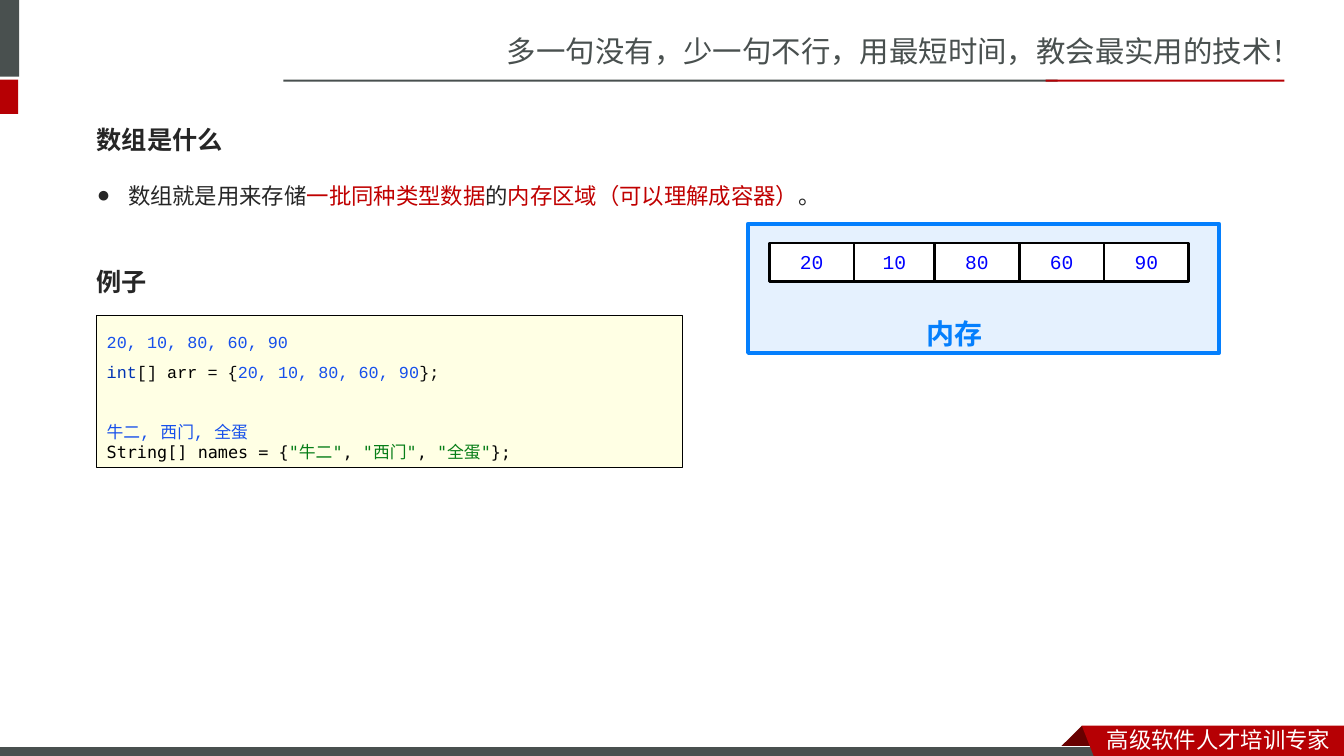
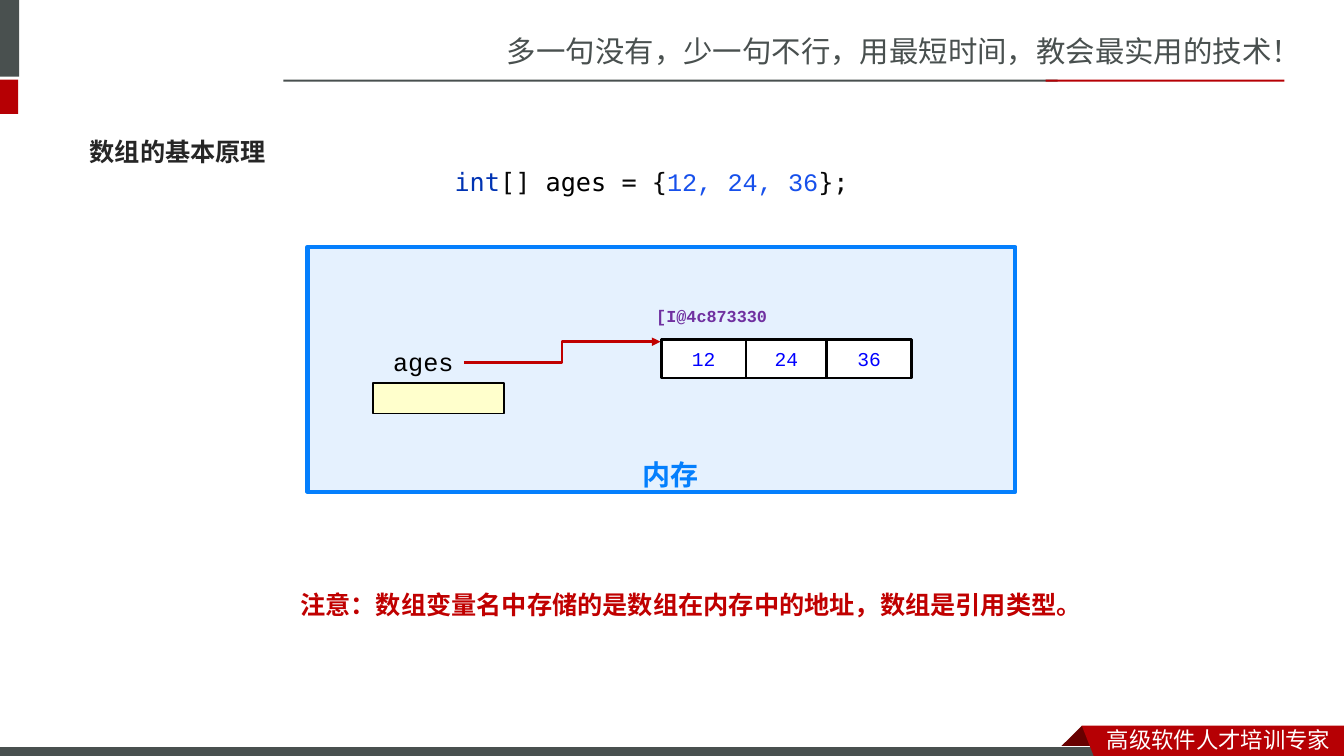
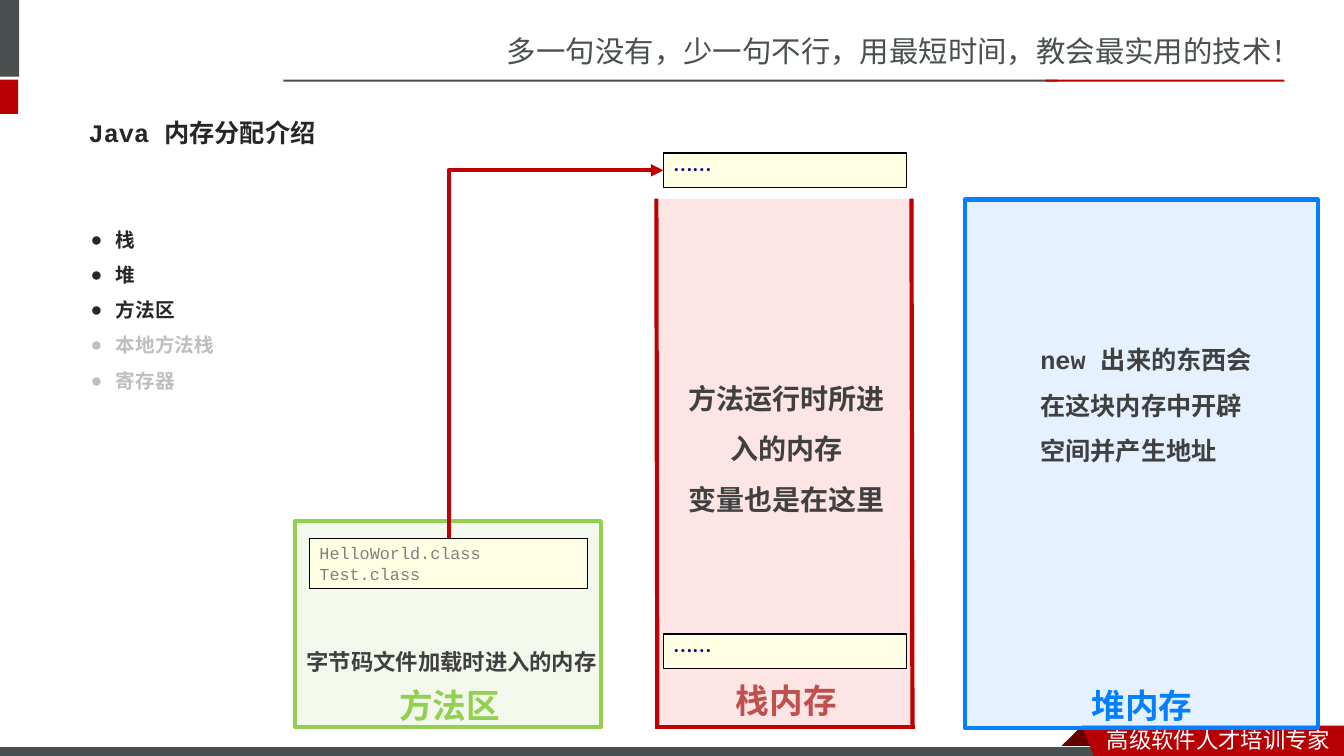
from lxml.etree import SubElement
from pptx import Presentation
from pptx.dml.color import RGBColor
from pptx.enum.shapes import MSO_CONNECTOR as LINK, MSO_SHAPE
from pptx.enum.text import MSO_ANCHOR as ANCHOR, MSO_AUTO_SIZE as FIT, PP_ALIGN as ALIGN
from pptx.oxml.ns import qn
from pptx.util import Inches, Pt

SLATE = RGBColor(0x49, 0x50, 0x4F)
CRIMSON = RGBColor(0xB6, 0x00, 0x04)
MAROON = RGBColor(0x68, 0x00, 0x00)
WHITE = RGBColor(0xFF, 0xFF, 0xFF)
BLACK = RGBColor(0x00, 0x00, 0x00)
INK = RGBColor(0x26, 0x26, 0x26)
CHAR = RGBColor(0x40, 0x40, 0x40)
RED = RGBColor(0xC0, 0x00, 0x00)
SKY = RGBColor(0x04, 0x7F, 0xFD)
LIME = RGBColor(0x92, 0xD0, 0x50)
PINK = RGBColor(0xFD, 0x00, 0x00)
BRICK = RGBColor(0xC0, 0x50, 0x4D)
CREAM = RGBColor(0xFF, 0xFF, 0xE4)
LEMON = RGBColor(0xFF, 0xFF, 0xCC)
BLUE = RGBColor(0x00, 0x00, 0xFF)
NAVY = RGBColor(0x00, 0x00, 0x80)
PURPLE = RGBColor(0x70, 0x30, 0xA0)
GREY = RGBColor(0x80, 0x80, 0x80)
PALE = RGBColor(0xBF, 0xBF, 0xBF)
NUM = RGBColor(0x17, 0x50, 0xEB)
KEY = RGBColor(0x00, 0x33, 0xB3)
CODE = RGBColor(0x08, 0x08, 0x08)
QUOTE = RGBColor(0x06, 0x7D, 0x17)

MONO, DEJA = "Courier New", "DejaVu Sans Mono"
SANS, SANSJ = "Noto Sans CJK SC", "Noto Sans CJK JP"

SLOGAN = "多一句没有，少一句不行，用最短时间，教会最实用的技术！"
BRAND = "高级软件人才培训专家"
BANDS = [  # place, fill
    ((-0.06, 0, 0.25, 0.76), SLATE),
    ((-0.06, 0.79, 0.24, 0.34), CRIMSON),
    ((2.81, 0.79, 7.68, 0.02), SLATE),
    ((10.37, 0.79, 2.37, 0.02), CRIMSON),
]
FOLD = [(10.73, 7.2), (10.95, 7.42), (10.94, 7.43), (10.52, 7.43), (10.51, 7.42)]
RIBBON = [(10.73, 7.2), (13.33, 7.2), (13.33, 7.54), (10.86, 7.53)]

# A paragraph is a string or a list of runs: (text, colour, font)
MEANING = [[("数组就是用来存储", INK), ("一批同种类型数据", RED), ("的", INK),
            ("内存区域（可以理解成容器）", RED), ("。", INK)]]
NAMES = [("String", BLACK, DEJA), ("[] ", CODE, DEJA), ("names ", BLACK, DEJA),
         ("= {", CODE, DEJA)]
for i, name in enumerate(("牛二", "西门", "全蛋")):
    NAMES += [(", ", CODE, DEJA)] if i else []
    NAMES += [('"', QUOTE, DEJA), (name, QUOTE, SANS), ('"', QUOTE, DEJA)]
NAMES.append(("};", CODE, DEJA))
SAMPLE = [
    [("20, 10, 80, 60, 90", NUM)],
    [("int", KEY), ("[] ", CODE), ("arr ", BLACK), ("= {", CODE),
     ("20, 10, 80, 60, 90", NUM), ("};", CODE)],
    [("牛二, 西门, 全蛋", NUM)],
    NAMES,
]
AGES = [[("int", KEY), ("[] ", CODE), ("ages ", BLACK), ("= {", CODE),
         ("12, 24, 36", NUM, MONO), ("};", CODE)]]
AREAS = ["栈", "堆", "方法区", [("本地方法栈", PALE)], [("寄存器", PALE)]]


def write(shape, paras, size=18, font=MONO, color=INK, bold=False, align=ALIGN.LEFT,
          space=1.0, anchor=ANCHOR.TOP, indent=None):
    frame = shape.text_frame
    frame.word_wrap, frame.auto_size = True, FIT.NONE
    frame.vertical_anchor = anchor
    for n, para in enumerate([paras] if isinstance(paras, str) else paras):
        p = frame.add_paragraph() if n else frame.paragraphs[0]
        p.alignment, p.line_spacing, p.space_before = align, space, Pt(0)
        if indent:
            ppr = p._p.get_or_add_pPr()
            ppr.set("marL", str(Inches(indent)))
            ppr.set("indent", str(-Inches(indent)))
            SubElement(ppr, qn("a:buChar"), char="●")
        for text, *style in [(para,)] if isinstance(para, str) else para:
            tint, face = (style + [color, font][len(style):])[:2]
            run = p.add_run()
            run.text = text
            run.font.size, run.font.bold, run.font.name = Pt(size), bold, face
            run.font.color.rgb = tint
            SubElement(run._r.get_or_add_rPr(), qn("a:ea"), typeface=face)
    return shape


def place(shape, at):
    shape.left, shape.top, shape.width, shape.height = map(Inches, at)
    return shape


def label(slide, at, paras, **fmt):
    return write(slide.shapes.add_textbox(*map(Inches, at)), paras, **fmt)


def paint(shape, fill, edge=None, width=1, alpha=None):
    shape.shadow.inherit = False
    shape.fill.solid()
    shape.fill.fore_color.rgb = fill
    if alpha:
        tone = shape._element.spPr.find(qn("a:solidFill"))[0]
        SubElement(tone, qn("a:alpha"), val=str(alpha * 1000))
    if edge is None:
        shape.line.fill.background()
    else:
        shape.line.color.rgb, shape.line.width = edge, Pt(width)
    return shape


def box(slide, at, fill, edge=None, width=1, alpha=None):
    rect = slide.shapes.add_shape(MSO_SHAPE.RECTANGLE, *map(Inches, at))
    return paint(rect, fill, edge, width, alpha)


def outline(slide, points, fill):
    pts = [(Inches(x), Inches(y)) for x, y in points]
    form = slide.shapes.build_freeform(*pts[0])
    form.add_line_segments(pts[1:])
    return paint(form.convert_to_shape(), fill)


def link(slide, start, end, kind=LINK.STRAIGHT, width=3, arrow=False):
    line = slide.shapes.add_connector(kind, *map(Inches, (*start, *end)))
    line.line.color.rgb, line.line.width = RED, Pt(width)
    props = line._element.spPr
    if arrow:
        SubElement(props.find(qn("a:ln")), qn("a:tailEnd"), type="triangle")
    SubElement(props, qn("a:effectLst"))
    return line


def zone(slide, at, color, name, spot, size=24, font=SANS):
    """Tinted memory area with its name."""
    box(slide, at, color, color, 3, alpha=10)
    label(slide, spot, name, size=size, font=font, color=color, bold=True,
          align=ALIGN.CENTER, space=1.5)


def cells(slide, left, top, values):
    """Row of array elements; the second is slightly narrower."""
    for n, value in enumerate(values):
        wide = 0.8 if n == 1 else 0.84
        cell = box(slide, (left, top, wide, 0.38), WHITE, BLACK, 2)
        write(cell, str(value), size=14, color=BLUE, align=ALIGN.CENTER, anchor=ANCHOR.MIDDLE)
        left += wide


def page(deck, layout, title, at):
    slide = deck.slides.add_slide(deck.slide_layouts[layout])
    write(place(slide.shapes.title, at), title, bold=True, anchor=ANCHOR.MIDDLE)
    return slide


def brand(deck, slide):
    """Draw the shared bands and footer, then move them to the master."""
    label(slide, (4.93, 0.28, 8.41, 0.47), SLOGAN, size=21, font=SANS, color=SLATE)
    for at, fill in BANDS:
        box(slide, at, fill)
    outline(slide, FOLD, MAROON)
    box(slide, (-0.01, 7.41, 11, 0.12), SLATE, WHITE, 0.75)
    outline(slide, RIBBON, CRIMSON)
    label(slide, (10.88, 7.15, 2.45, 0.37), BRAND, size=16, font=SANS, color=WHITE)
    tree = deck.slide_master.shapes._spTree
    parts = [s._element for s in slide.shapes if not s.is_placeholder]
    for n, part in enumerate(parts):
        part.nvSpPr.cNvPr.set("id", str(50 + n))
        tree.insert(2 + n, part)


def basics(deck):
    slide = page(deck, 1, "数组是什么", (0.86, 1.1, 1.74, 0.57))
    brand(deck, slide)
    write(place(slide.placeholders[1], (0.86, 1.62, 9.33, 0.47)), MEANING,
          size=16, font=SANSJ, space=1.5, indent=0.31)
    code = box(slide, (0.96, 3.13, 5.81, 1.51), CREAM, BLACK, 0.75)
    write(code, SAMPLE, size=12, space=1.5, anchor=ANCHOR.MIDDLE)
    lines = code.text_frame.paragraphs
    lines[2].space_before = Pt(21)
    lines[3].line_spacing = 1.0
    zone(slide, (7.42, 2.22, 4.67, 1.28), SKY, "内存", (8.56, 2.92, 1.82, 0.21), 20, SANSJ)
    cells(slide, 7.63, 2.41, (20, 10, 80, 60, 90))
    label(slide, (0.86, 2.51, 1.74, 0.57), "例子", bold=True, anchor=ANCHOR.MIDDLE)


def theory(deck):
    slide = page(deck, 5, "数组的基本原理", (0.79, 1.22, 2.67, 0.57))
    label(slide, (2.88, 5.8, 8.08, 0.4),
          "注意：数组变量名中存储的是数组在内存中的地址，数组是引用类型。",
          font=SANSJ, color=RED, bold=True)
    zone(slide, (3.05, 2.45, 7.02, 2.43), SKY, "内存", (5.28, 4.32, 2.74, 0.39), 20, SANSJ)
    box(slide, (3.7, 3.8, 1.3, 0.3), LEMON, BLACK)
    link(slide, (4.6, 3.6), (6.55, 3.39), LINK.ELBOW, 2, arrow=True)
    label(slide, (4.41, 1.6, 4.29, 0.4), AGES, font=DEJA)
    cells(slide, 6.56, 3.37, (12, 24, 36))
    label(slide, (3.8, 3.39, 0.8, 0.4), "ages", color=BLACK)
    label(slide, (6.41, 2.98, 1.79, 0.3), "[I@4c873330", size=12, color=PURPLE, bold=True)


def memory(deck):
    slide = page(deck, 1, "Java 内存分配介绍", (0.78, 1.03, 11.76, 0.57))
    write(place(slide.placeholders[1], (0.8, 2.09, 5, 1.83)), AREAS,
          size=14, font=SANSJ, bold=True, space=1.5, indent=0.25)
    zone(slide, (9.57, 1.98, 3.5, 5.24), SKY, "堆内存", (10.64, 6.55, 1.37, 0.64))
    box(slide, (6.54, 1.97, 2.52, 5.25), PINK, alpha=10)
    label(slide, (7.12, 6.5, 1.36, 0.64), "栈内存", size=24, font=SANS, color=BRICK,
          bold=True, align=ALIGN.CENTER, space=1.5)
    for start, end in (((6.51, 1.97), (6.52, 7.21)), ((9.04, 1.97), (9.05, 7.22)),
                       ((9.08, 7.21), (6.5, 7.21))):
        link(slide, start, end)
    zone(slide, (2.93, 5.17, 3.03, 2.04), LIME, "方法区", (2.92, 6.55, 3.08, 0.64))
    files = box(slide, (3.07, 5.34, 2.76, 0.5), CREAM, BLACK)
    write(files, ["HelloWorld.class", "Test.class"], size=12, color=GREY)
    for top in (1.52, 6.29):
        frame = box(slide, (6.58, top, 2.41, 0.34), CREAM, BLACK)
        write(frame, "……", size=14, font=SANS, color=NAVY, bold=True)
    label(slide, (10.22, 3.22, 2.32, 1.42), "new 出来的东西会在这块内存中开辟空间并产生地址",
          color=CHAR, bold=True, space=1.5)
    label(slide, (6.7, 3.57, 2.2, 1.56), ["方法运行时所进入的内存", "变量也是在这里"],
          size=20, font=SANS, color=CHAR, bold=True, align=ALIGN.CENTER, space=1.5)
    # One corner: up from the class files, then right into the stack
    bend = link(slide, (3.69, 2.45), (7.34, 4.58), LINK.ELBOW, arrow=True)._element.spPr
    bend.find(qn("a:prstGeom")).set("prst", "bentConnector2")
    for key, value in (("rot", "5400000"), ("flipH", "1"), ("flipV", "1")):
        bend.find(qn("a:xfrm")).set(key, value)
    label(slide, (2.89, 6.25, 3.18, 0.47), "字节码文件加载时进入的内存", size=16, font=SANSJ,
          color=CHAR, bold=True, align=ALIGN.CENTER, space=1.5)


def main():
    deck = Presentation()
    deck.slide_width, deck.slide_height = Inches(13.33), Inches(7.5)
    for build in (basics, theory, memory):
        build(deck)
    deck.save("out.pptx")


if __name__ == "__main__":
    main()
